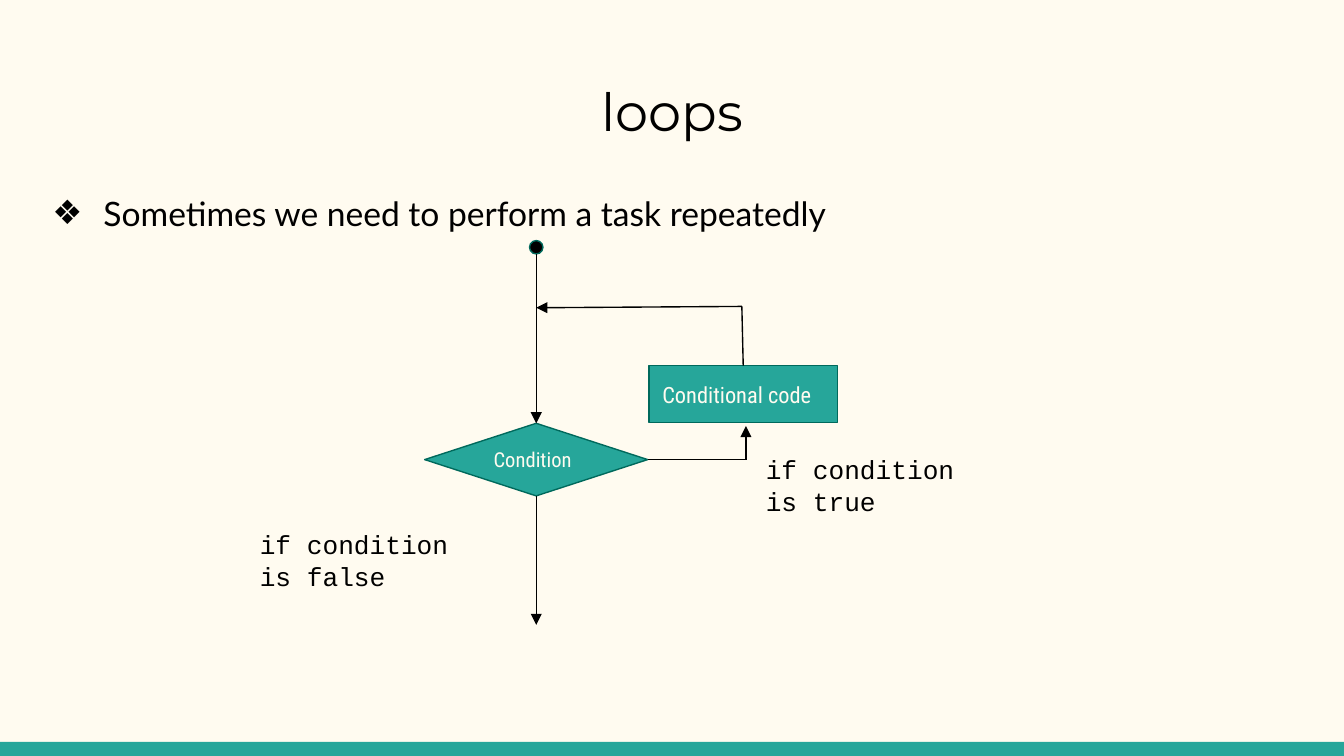
from lxml.etree import SubElement as Sub
from pptx import Presentation as Deck
from pptx.dml.color import RGBColor as RGB
from pptx.enum.shapes import MSO_CONNECTOR as Wire, MSO_SHAPE as Form
from pptx.enum.text import MSO_ANCHOR as Anchor, MSO_AUTO_SIZE as Fit, PP_ALIGN as Align
from pptx.oxml.ns import qn
from pptx.util import Inches, Pt

CREAM = RGB(0xFF, 0xFB, 0xF0)
TEAL = RGB(0x26, 0xA6, 0x9A)
DARK = RGB(0x00, 0x69, 0x5C)
BLACK = RGB(0, 0, 0)
WIDE, HIGH = 100, 56.25


def cell(*spans):
    return [Inches(span / 10) for span in spans]


def write(shape, text, font, size, color=BLACK, align=Align.LEFT, anchor=Anchor.TOP,
          side=1, edge=1, fit=Fit.NONE, mark=None, space=1):
    frame = shape.text_frame
    frame.word_wrap = True
    frame.auto_size = fit
    frame.vertical_anchor = anchor
    frame.margin_left, frame.margin_right = cell(side, side)
    frame.margin_top, frame.margin_bottom = cell(edge, edge)
    para = frame.paragraphs[0]
    para.alignment = align
    para.space_before = Pt(0)
    para.line_spacing = space
    if mark:
        props = para._p.get_or_add_pPr()
        props.set("marL", str(Inches(0.5)))
        props.set("indent", str(-Inches(0.38)))
        tint = Sub(props, qn("a:buClr"))
        Sub(tint, qn("a:srgbClr"), val=str(color))
        Sub(props, qn("a:buChar"), char=mark)
    run = para.add_run()
    run.text = text
    run.font.name = font
    run.font.size = Pt(size)
    run.font.color.rgb = color


class Board:
    head, body, code, label = "Montserrat", "Lato", "Courier New", "Roboto Condensed"
    line = Pt(0.75)

    def __init__(self, slide):
        self.slide = slide
        fill = slide.background.fill
        fill.solid()
        fill.fore_color.rgb = CREAM

    def place(self, holder, box):
        holder.left, holder.top, holder.width, holder.height = cell(*box)
        return holder

    def title(self, text, *box):
        holder = self.place(self.slide.shapes.title, box)
        write(holder, text, self.head, 28.2, align=Align.CENTER, side=0)

    def bullet(self, text, *box):
        holder = self.place(self.slide.placeholders[1], box)
        write(holder, text, self.body, 18, side=0, mark="❖", space=1.15)

    def block(self, form, *box, fill=TEAL, edge=DARK):
        shape = self.slide.shapes.add_shape(form, *cell(*box))
        shape.shadow.inherit = False
        shape.fill.solid()
        shape.fill.fore_color.rgb = fill
        if edge is None:
            shape.line.fill.background()
        else:
            shape.line.color.rgb = edge
            shape.line.width = self.line
        return shape

    def step(self, form, text, size, *box, edge=1):
        shape = self.block(form, *box)
        write(shape, text, self.label, size, CREAM, anchor=Anchor.MIDDLE, edge=edge)
        return shape

    def note(self, text, left, top):
        box = self.slide.shapes.add_textbox(*cell(left, top, 19.4, 6.7))
        write(box, text, self.code, 14, fit=Fit.SHAPE_TO_FIT_TEXT)

    def link(self, *ends, start=None, stop=None, arrow=True):
        wire = self.slide.shapes.add_connector(Wire.STRAIGHT, *cell(*ends))
        if start:
            wire.begin_connect(*start)
        if stop:
            wire.end_connect(*stop)
        wire.line.color.rgb = BLACK
        wire.line.width = self.line
        props = wire._element.spPr
        if arrow:
            Sub(props.find(qn("a:ln")), qn("a:tailEnd"), type="triangle")
        Sub(props, qn("a:effectLst"))


def main():
    deck = Deck()
    deck.slide_width, deck.slide_height = cell(WIDE, HIGH)
    board = Board(deck.slides.add_slide(deck.slide_layouts[1]))

    board.block(Form.RECTANGLE, 0, HIGH - 1.05, WIDE, 1.05, edge=None)
    board.title("loops", 3.4, 4.9, 93.2, 6.7)
    board.bullet("Sometimes we need to perform a task repeatedly", 2.7, 12.9, 93.2, 37.1)

    axis, turn, back = 39.9, 55.5, 22.9
    test = board.step(Form.FLOWCHART_DECISION, "Condition", 11,
                      axis - 8.3, 31.5, 16.6, 5.4, edge=2)
    task = board.step(Form.FLOWCHART_PROCESS, "Conditional code", 12, 48.3, 27.2, 14, 4.25)
    board.block(Form.FLOWCHART_CONNECTOR, axis - 0.5, 17.9, 1, 1, fill=BLACK)

    board.link(axis, 18.9, axis, 31.5, stop=(test, 0))
    board.link(axis, 36.9, axis, 46.5, start=(test, 2))
    board.link(48.2, 34.2, turn, 34.2, start=(test, 3), arrow=False)
    board.link(turn, 34.2, turn, 31.7)
    board.link(55.3, 27.2, 55.2, back - 0.1, start=(task, 0), arrow=False)
    board.link(55.2, back - 0.1, axis, back)

    board.note("if condition is true", 56, 32.75)
    board.note("if condition is false", 18.35, 38.35)
    deck.save("out.pptx")


if __name__ == "__main__":
    main()
